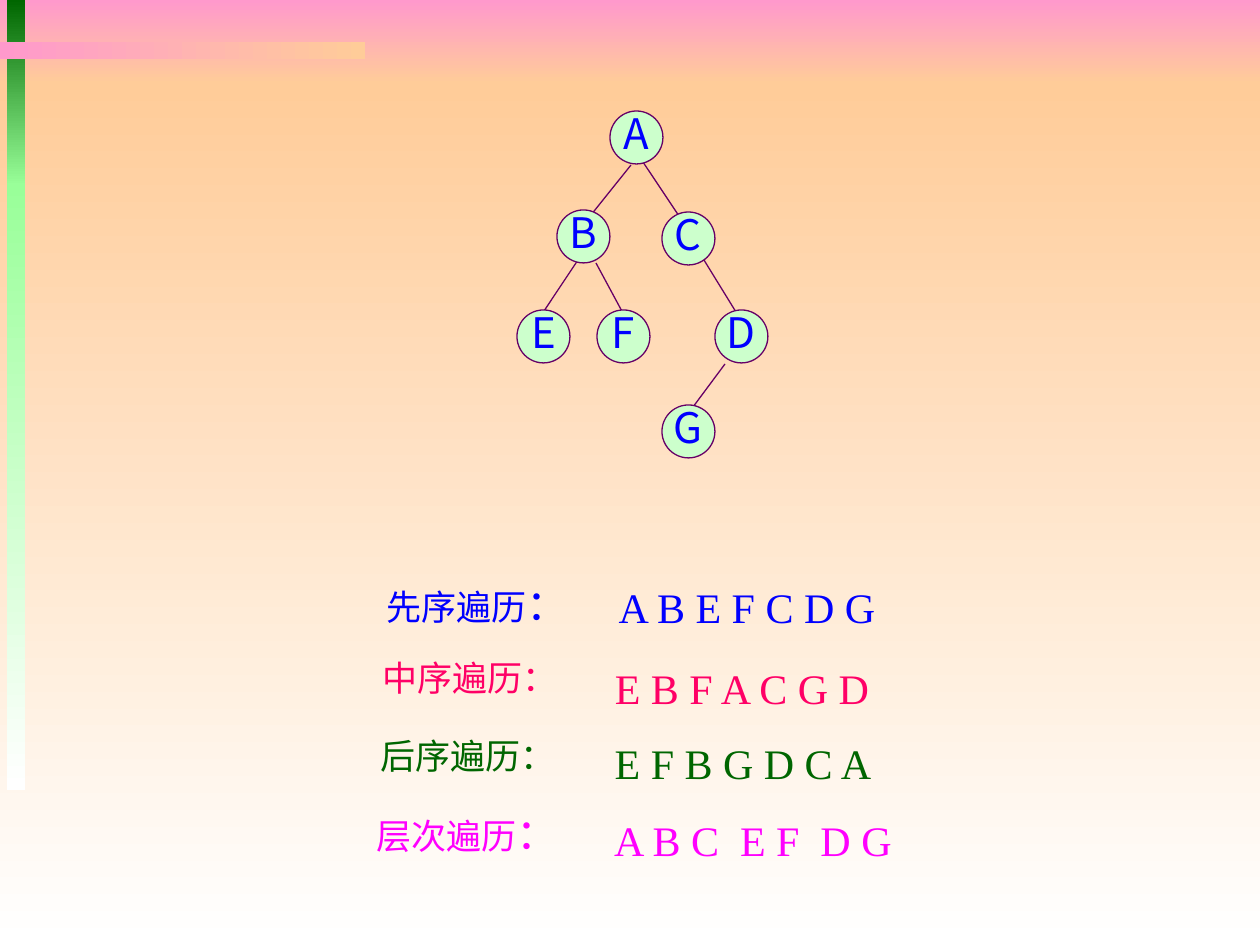
from typing import NamedTuple

from lxml import etree
from pptx import Presentation
from pptx.dml.color import RGBColor
from pptx.enum.shapes import MSO_CONNECTOR, MSO_SHAPE
from pptx.enum.text import MSO_ANCHOR, MSO_AUTO_SIZE, PP_ALIGN
from pptx.oxml.ns import qn
from pptx.util import Emu, Pt

RECTANGLE, OVAL = MSO_SHAPE.RECTANGLE, MSO_SHAPE.OVAL
STRAIGHT = MSO_CONNECTOR.STRAIGHT
MIDDLE = MSO_ANCHOR.MIDDLE
GROW = MSO_AUTO_SIZE.SHAPE_TO_FIT_TEXT
LEFT, CENTER = PP_ALIGN.LEFT, PP_ALIGN.CENTER

PINK = RGBColor(0xFF, 0x99, 0xCC)
PEACH = RGBColor(0xFF, 0xCC, 0x99)
WHITE = RGBColor(0xFF, 0xFF, 0xFF)
DARK_GREEN = RGBColor(0x00, 0x66, 0x00)
LIGHT_GREEN = RGBColor(0x99, 0xFF, 0x99)
PALE_GREEN = RGBColor(0xCC, 0xFF, 0xCC)
PURPLE = RGBColor(0x66, 0x00, 0x66)
BLUE = RGBColor(0x00, 0x00, 0xFF)
RED = RGBColor(0xFF, 0x00, 0x66)
MAGENTA = RGBColor(0xFF, 0x00, 0xFF)

SERIF = "Times New Roman"
SANS = "Noto Sans CJK SC"
DOWN, RIGHT = 270, 0
NODE_SIZE = 53


class Band(NamedTuple):
    left: int
    top: int
    width: int
    height: int
    start: RGBColor
    end: RGBColor
    angle: int


class Node(NamedTuple):
    letter: str
    left: int
    top: int


class Edge(NamedTuple):
    x1: int
    y1: int
    x2: int
    y2: int


class Box(NamedTuple):
    left: int
    top: int
    width: int
    height: int


class Traversal(NamedTuple):
    name: str
    colon_size: int
    label_box: Box
    order: str
    order_box: Box
    order_wraps: bool
    color: RGBColor


BANDS = [
    Band(0, 0, 1260, 84, PINK, PEACH, DOWN),
    Band(0, 84, 1260, 861, PEACH, WHITE, DOWN),
    Band(7, 0, 18, 186, DARK_GREEN, LIGHT_GREEN, DOWN),
    Band(7, 184, 18, 606, LIGHT_GREEN, WHITE, DOWN),
    Band(0, 42, 365, 17, PINK, PEACH, RIGHT),
]
TRAVERSALS = [
    Traversal("先序遍历", 24, Box(374, 572, 207, 63),
              "A B E F C D G", Box(605, 575, 284, 63), False, BLUE),
    Traversal("中序遍历", 20, Box(370, 650, 200, 55),
              "E B F A C G D", Box(585, 656, 314, 63), True, RED),
    Traversal("后序遍历", 20, Box(368, 728, 200, 55),
              "E F B G D C A", Box(583, 731, 320, 63), True, DARK_GREEN),
    Traversal("层次遍历", 24, Box(364, 801, 207, 63),
              "A B C  E F  D G", Box(559, 808, 388, 63), True, MAGENTA),
]
EDGES = [
    Edge(631, 165, 591, 215),
    Edge(641, 159, 683, 222),
    Edge(578, 260, 536, 323),
    Edge(596, 263, 624, 315),
    Edge(704, 260, 736, 312),
    Edge(725, 364, 693, 407),
]
NODES = [
    Node("A", 610, 111),
    Node("B", 557, 210),
    Node("C", 662, 212),
    Node("E", 517, 310),
    Node("F", 597, 310),
    Node("D", 715, 310),
    Node("G", 662, 405),
]


def px(length: int) -> Emu:
    return Emu(round(length * 914400 / 126))


def format_run(run, font: str, size: int, color: RGBColor) -> None:
    run.font.name = font
    run.font.size = Pt(size)
    run.font.color.rgb = color
    # East Asian glyphs need their own typeface element
    east_asian = etree.SubElement(run.font._element, qn("a:ea"))
    east_asian.set("typeface", SANS)


def draw_band(slide, band: Band) -> None:
    shape = slide.shapes.add_shape(RECTANGLE, *map(px, band[:4]))
    shape.shadow.inherit = False
    shape.line.fill.background()
    shape.fill.gradient()
    shape.fill.gradient_angle = band.angle
    for stop, color in zip(shape.fill.gradient_stops, (band.start, band.end)):
        stop.color.rgb = color


def draw_edge(slide, edge: Edge) -> None:
    connector = slide.shapes.add_connector(STRAIGHT, *map(px, edge))
    connector.line.color.rgb = PURPLE
    connector.line.width = Pt(0.75)
    etree.SubElement(connector._element.spPr, qn("a:effectLst"))


def draw_node(slide, node: Node) -> None:
    shape = slide.shapes.add_shape(
        OVAL, px(node.left), px(node.top), px(NODE_SIZE), px(NODE_SIZE))
    shape.shadow.inherit = False
    shape.fill.solid()
    shape.fill.fore_color.rgb = PALE_GREEN
    shape.line.color.rgb = PURPLE
    shape.line.width = Pt(0.75)
    text_frame = shape.text_frame
    text_frame.text = node.letter
    text_frame.word_wrap = False
    text_frame.vertical_anchor = MIDDLE
    paragraph = text_frame.paragraphs[0]
    paragraph.alignment = CENTER
    paragraph.line_spacing = 0.8
    format_run(paragraph.runs[0], SANS, 24, BLUE)


def add_text(slide, box: Box, text: str, size: int, color: RGBColor,
             alignment: PP_ALIGN, wraps: bool):
    text_frame = slide.shapes.add_textbox(*map(px, box)).text_frame
    text_frame.text = text
    text_frame.word_wrap = wraps
    text_frame.auto_size = GROW
    text_frame.vertical_anchor = MIDDLE
    paragraph = text_frame.paragraphs[0]
    paragraph.alignment = alignment
    format_run(paragraph.runs[0], SERIF, size, color)
    return paragraph


def draw_traversal(slide, row: Traversal) -> None:
    label = add_text(slide, row.label_box, row.name, 20, row.color, LEFT, False)
    colon = label.add_run()
    colon.text = "："
    format_run(colon, SERIF, row.colon_size, row.color)
    add_text(slide, row.order_box, row.order, 24, row.color, CENTER, row.order_wraps)


def main() -> None:
    presentation = Presentation()
    presentation.slide_width, presentation.slide_height = px(1260), px(945)
    slide = presentation.slides.add_slide(presentation.slide_layouts[6])

    # Background and accent bars
    for band in BANDS:
        draw_band(slide, band)

    # Traversal names with their orders
    for row in TRAVERSALS:
        draw_traversal(slide, row)

    # Binary tree, edges beneath nodes
    for edge in EDGES:
        draw_edge(slide, edge)
    for node in NODES:
        draw_node(slide, node)

    presentation.save("out.pptx")


if __name__ == "__main__":
    main()
